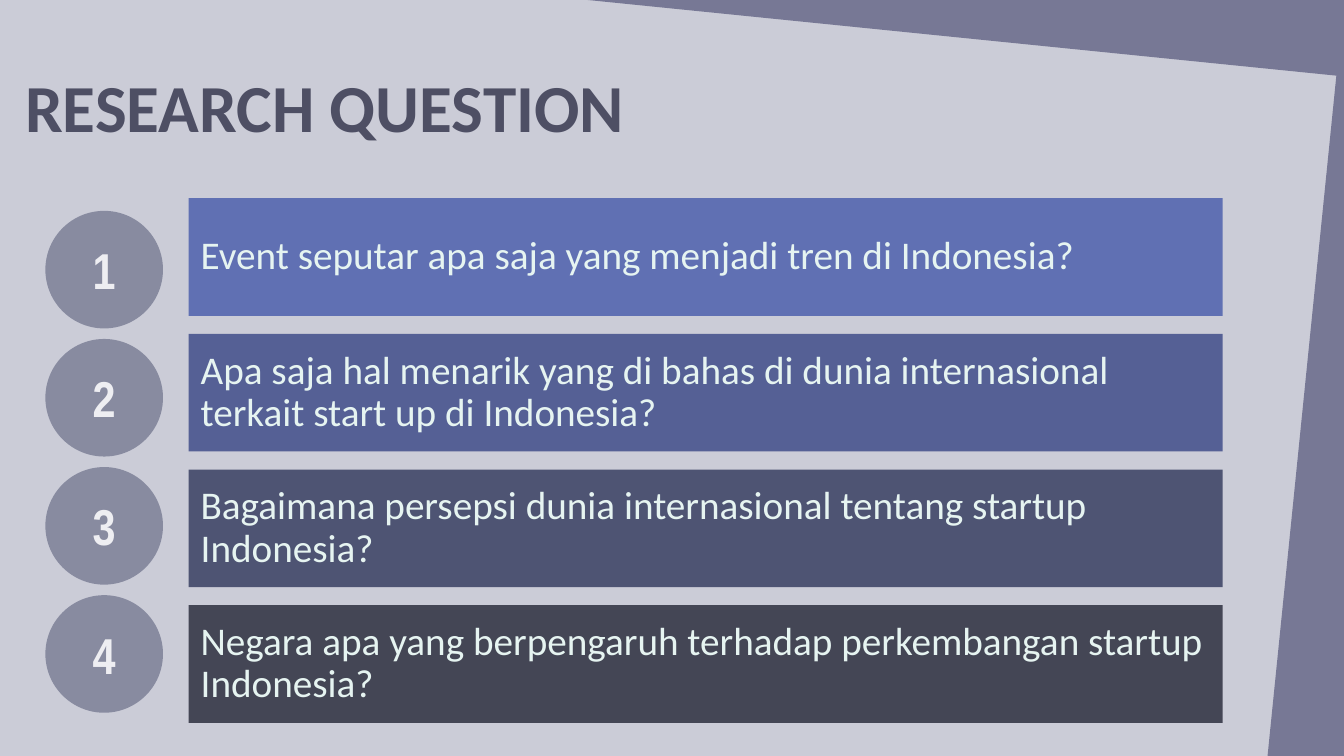
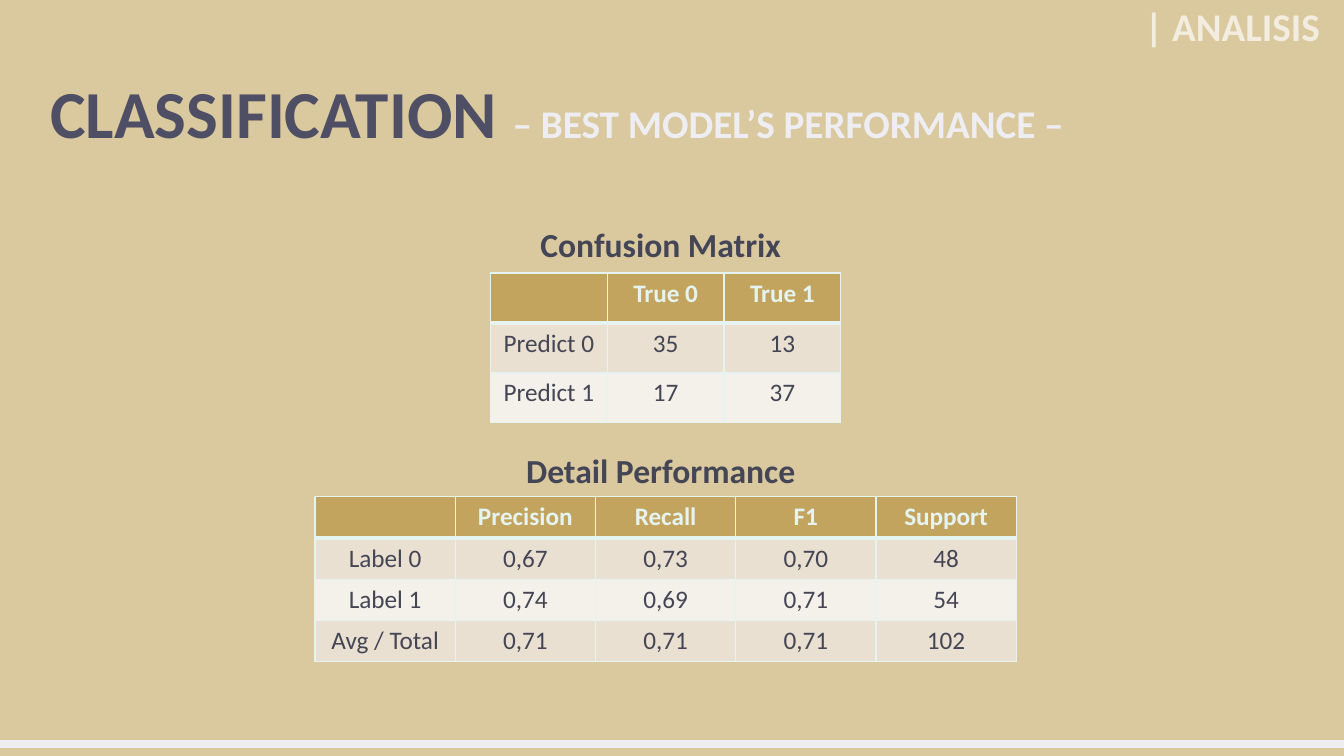
"""Build the research question and classification slides on a 32 by 18 grid."""
from lxml import etree
from pptx import Presentation, util as u
from pptx.dml.color import RGBColor
from pptx.enum import shapes, text
from pptx.oxml import ns

INK = RGBColor(0x4E, 0x4F, 0x64)
DARK = RGBColor(0x44, 0x46, 0x55)
PALE = RGBColor(0xEE, 0xEE, 0xF2)
MINT = RGBColor(0xE6, 0xF4, 0xF1)
CREAM = RGBColor(0xF3, 0xED, 0xDF)
LILAC = RGBColor(0xCB, 0xCC, 0xD7)
VIOLET = RGBColor(0x77, 0x78, 0x95)
GREY = RGBColor(0x88, 0x8B, 0xA0)
SAND = RGBColor(0xDA, 0xC8, 0x9E)
GOLD = RGBColor(0xC2, 0xA4, 0x5E)
BANDS = [RGBColor(0xE9, 0xE0, 0xD2), RGBColor(0xF4, 0xF0, 0xEA)]
BARS = [RGBColor(0x60, 0x70, 0xB3), RGBColor(0x55, 0x60, 0x95),
        RGBColor(0x4E, 0x54, 0x73), DARK]

COLS, ROWS = 32, 18
LEFT, CENTER, RIGHT = text.PP_ALIGN.LEFT, text.PP_ALIGN.CENTER, text.PP_ALIGN.RIGHT
RECT, OVAL, TRIANGLE = (shapes.MSO_SHAPE.RECTANGLE, shapes.MSO_SHAPE.OVAL,
                        shapes.MSO_SHAPE.ISOSCELES_TRIANGLE)


class Deck:
    """Holds the style and the current slide."""

    def __init__(self):
        self.prs = Presentation()
        self.prs.slide_width, self.prs.slide_height = u.Inches(13.33), u.Inches(7.5)
        self.s = None

    def grid(self, x, y, w, h):
        col, row = self.prs.slide_width / COLS, self.prs.slide_height / ROWS
        return [u.Emu(round(n)) for n in (x * col, y * row, w * col, h * row)]

    def slide(self, color):
        self.s = self.prs.slides.add_slide(self.prs.slide_layouts[5])
        fill = self.s.background.fill
        fill.solid()
        fill.fore_color.rgb = color

    def add_runs(self, tf, runs, align=LEFT, spacing=None, bold=True, font="Calibri"):
        p = tf.paragraphs[0]
        p.alignment = align
        p.line_spacing = spacing
        for words, size, color in runs:
            r = p.add_run()
            r.text = words
            r.font.name, r.font.size, r.font.bold = font, u.Pt(size), bold
            r.font.color.rgb = color

    def title(self, x, y, *runs):
        sp = self.s.shapes.title
        sp.left, sp.top, sp.width, sp.height = self.grid(x, y, 29.5, 3.84)
        tf = sp.text_frame
        tf.word_wrap, tf.auto_size = True, text.MSO_AUTO_SIZE.NONE
        tf.vertical_anchor = text.MSO_ANCHOR.MIDDLE
        self.add_runs(tf, runs, spacing=0.9)

    def label(self, x, y, w, words, size, color, align, spacing=None):
        tf = self.s.shapes.add_textbox(*self.grid(x, y, w, 1.2)).text_frame
        tf.word_wrap = True
        tf.vertical_anchor = text.MSO_ANCHOR.MIDDLE
        self.add_runs(tf, [(words, size, color)], align, spacing)

    def shape(self, kind, x, y, w, h, color):
        sp = self.s.shapes.add_shape(kind, *self.grid(x, y, w, h))
        sp.shadow.inherit = False
        sp.fill.solid()
        sp.fill.fore_color.rgb = color
        sp.line.fill.background()
        sp.text_frame.vertical_anchor = text.MSO_ANCHOR.MIDDLE
        return sp

    def wedge(self, x, y, rotation=0):
        sp = self.shape(TRIANGLE, x, y, 1.82, ROWS, VIOLET)
        sp.adjustments[0] = 1
        sp.rotation = rotation

    def bar(self, y, words, color):
        tf = self.shape(RECT, 4.49, y, 24.62, 2.8, color).text_frame
        tf.margin_left = tf.margin_right = u.Inches(0.12)
        self.add_runs(tf, [(words, 28, MINT)], spacing=0.9, bold=False)

    def badge(self, y, number):
        tf = self.shape(OVAL, 1.08, y, 2.8, 2.8, GREY).text_frame
        self.add_runs(tf, [(str(number), 36, PALE)], CENTER, font="Arial Narrow")

    def border(self, cell, side, width):
        ln = etree.SubElement(cell._tc.get_or_add_tcPr(), ns.qn(f"a:ln{side}"),
                              w=str(u.Pt(width)))
        fill = etree.SubElement(ln, ns.qn("a:solidFill"))
        etree.SubElement(fill, ns.qn("a:srgbClr"), val=str(MINT))

    def table(self, y, col, row, data):
        width, height = col * len(data[0]), row * len(data)
        box = self.grid(15.85 - width / 2, y, width, height)
        tbl = self.s.shapes.add_table(len(data), len(data[0]), *box).table
        for i, values in enumerate(data):
            for j, value in enumerate(values):
                cell = tbl.cell(i, j)
                for side in "LRTB":
                    thick = (i, side) in ((0, "B"), (1, "T"))
                    self.border(cell, side, 3 if thick else 1)
                cell.fill.solid()
                cell.fill.fore_color.rgb = BANDS[(i - 1) % 2] if i else GOLD
                if value:
                    self.add_runs(cell.text_frame, [(value, 18, DARK if i else MINT)],
                                  CENTER, bold=i == 0)


def main():
    d = Deck()

    d.slide(LILAC)
    d.wedge(30.18, 0)
    d.title(0.36, 0.72, ("RESEARCH QUESTION", 48, INK))
    questions = [
        "Event seputar apa saja yang menjadi tren di Indonesia?",
        "Apa saja hal menarik yang di bahas di dunia internasional "
        "terkait start up di Indonesia?",
        "Bagaimana persepsi dunia internasional tentang startup Indonesia?",
        "Negara apa yang berpengaruh terhadap perkembangan startup Indonesia?",
    ]
    for i, (question, color) in enumerate(zip(questions, BARS)):
        d.bar(4.72 + 3.23 * i, question, color)
        d.badge(5.02 + 3.05 * i, i + 1)
    d.wedge(22.09, -8.09, 270)

    d.slide(SAND)
    d.title(0.96, 0.86, ("CLASSIFICATION ", 48, INK),
            ("– BEST MODEL’S PERFORMANCE –", 28, PALE))
    d.label(2.16, 0.08, 29.5, "| ANALISIS", 28, CREAM, RIGHT, 0.9)
    d.shape(RECT, 0, 17.62, COLS, 0.19, PALE)
    d.table(6.5, 2.78, 1.19, [
        ["", "True 0", "True 1"],
        ["Predict 0", "35", "13"],
        ["Predict 1", "17", "37"],
    ])
    d.table(11.83, 3.34, 0.98, [
        ["", "Precision", "Recall", "F1", "Support"],
        ["Label 0", "0,67", "0,73", "0,70", "48"],
        ["Label 1", "0,74", "0,69", "0,71", "54"],
        ["Avg / Total", "0,71", "0,71", "0,71", "102"],
    ])
    for y, words in ((5.2, "Confusion Matrix"), (10.6, "Detail Performance")):
        d.label(11.11, y, 9.24, words, 24, DARK, CENTER)

    d.prs.save("out.pptx")


if __name__ == "__main__":
    main()
